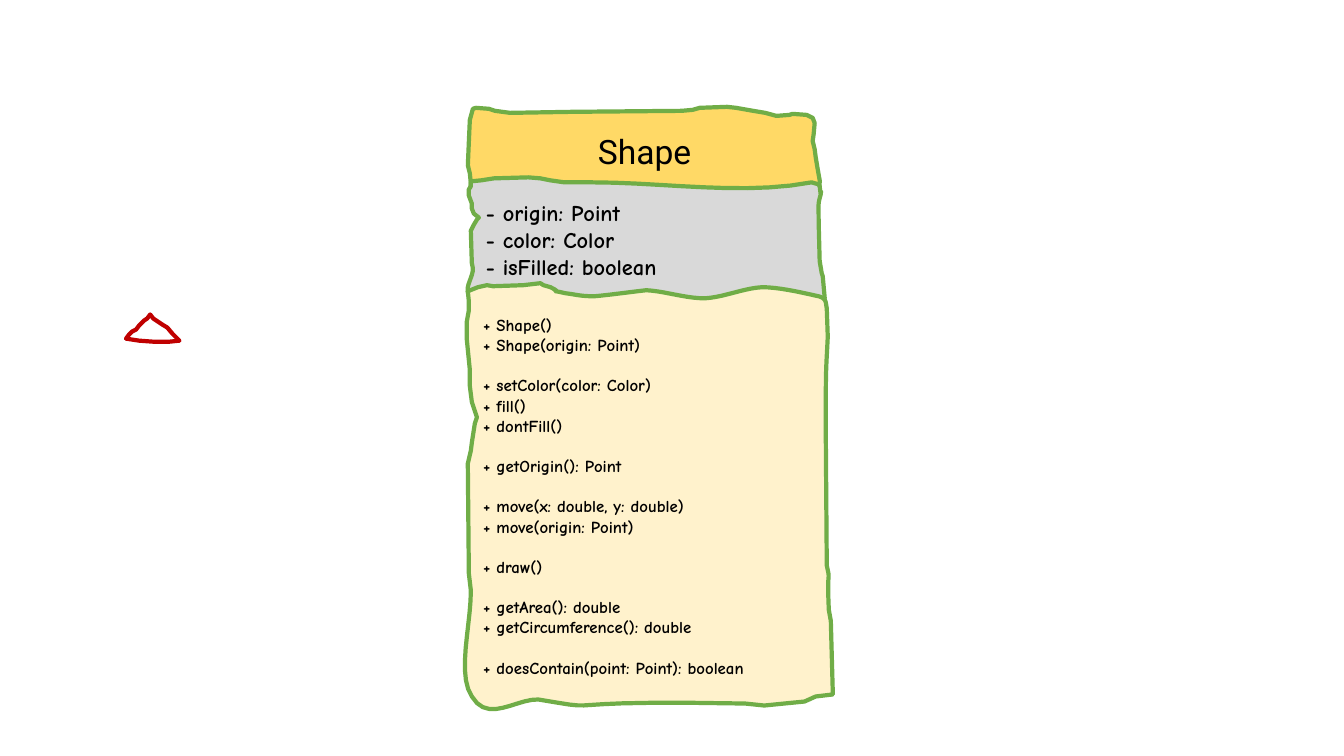
from dataclasses import dataclass

from pptx import Presentation
from pptx.dml.color import RGBColor
from pptx.enum.text import MSO_ANCHOR, PP_ALIGN
from pptx.util import Inches, Pt

MIDDLE = MSO_ANCHOR.MIDDLE
LEFT, CENTER = PP_ALIGN.LEFT, PP_ALIGN.CENTER


@dataclass(frozen=True)
class Theme:
    name_fill: str = "FFD966"
    fields_fill: str = "D9D9D9"
    methods_fill: str = "FFF2CC"
    border: str = "70AD47"
    accent: str = "C00000"
    text: str = "000000"
    name_font: str = "Roboto"
    body_font: str = "Comic Neue"
    name_size: int = 24
    fields_size: int = 16
    methods_size: int = 12
    group_gap: float = 14.4
    line_width: int = 3


def trace(outline, steps=10):
    """Turn points (x, y) and cubic curves (x1, y1, x2, y2, x, y) into points."""
    points = []
    for item in outline:
        if len(item) == 2:
            points.append(item)
            continue
        controls = [points[-1], item[:2], item[2:4], item[4:]]
        for i in range(1, steps + 1):
            t = i / steps
            weights = ((1 - t) ** 3, 3 * t * (1 - t) ** 2, 3 * t * t * (1 - t), t ** 3)
            points.append(tuple(sum(w * c[axis] for w, c in zip(weights, controls))
                                for axis in (0, 1)))
    return points


class Sketch:
    def __init__(self, slide, theme):
        self.slide = slide
        self.theme = theme

    def outline(self, outline, line, fill=None):
        points = [(Inches(x), Inches(y)) for x, y in trace(outline)]
        builder = self.slide.shapes.build_freeform(*points[0])
        builder.add_line_segments(points[1:], close=True)
        sp = builder.convert_to_shape()
        sp.shadow.inherit = False
        if fill:
            sp.fill.solid()
            sp.fill.fore_color.rgb = RGBColor.from_string(fill)
        else:
            sp.fill.background()
        sp.line.color.rgb = RGBColor.from_string(line)
        sp.line.width = Pt(self.theme.line_width)
        return sp

    def text(self, sp, groups, font, size, align=LEFT, bold=False, indent=0.0):
        tf = sp.text_frame
        tf.word_wrap = True
        tf.vertical_anchor = MIDDLE
        tf.margin_left = Inches(0.1 + indent)
        tf.text = "\n".join(line for group in groups for line in group)
        paragraphs = iter(tf.paragraphs)
        for g, group in enumerate(groups):
            for i in range(len(group)):
                p = next(paragraphs)
                p.alignment = align
                if g and i == 0:
                    p.space_before = Pt(self.theme.group_gap)
                for r in p.runs:
                    r.font.name = font
                    r.font.size = Pt(size)
                    r.font.bold = bold
                    r.font.color.rgb = RGBColor.from_string(self.theme.text)


# Hand-drawn outlines, in inches
NAME_BOX = [
    (4.66, 1.91), (4.67, 1.82), (4.66, 1.72), (4.64, 1.64), (4.65, 1.41), (4.66, 1.19),
    (4.69, 1.08), (4.72, 1.07), (4.85, 1.08), (4.91, 1.1), (5.06, 1.12), (5.67, 1.11),
    (6.76, 1.1), (6.87, 1.09), (6.94, 1.07), (7.21, 1.06), (7.3, 1.07), (7.47, 1.1),
    (7.59, 1.12), (7.7, 1.15), (7.83, 1.14), (7.86, 1.13), (8, 1.14), (8.06, 1.17),
    (8.08, 1.22), (8.07, 1.33), (8.06, 1.4), (8.08, 1.48), (8.09, 1.56), (8.11, 1.68),
    (8.13, 1.79), (8.12, 1.98, 8.17, 1.86, 8.13, 1.93),
    (7.55, 1.95, 5.24, 1.95, 4.66, 1.91),
]
FIELDS_BOX = [
    (4.65, 1.88), (4.65, 1.94), (4.68, 2.02), (4.68, 2.07), (4.7, 2.12), (4.75, 2.16),
    (4.73, 2.18), (4.7, 2.23), (4.67, 2.29), (4.68, 2.61), (4.69, 2.66),
    (4.7, 2.76, 4.56, 2.9, 4.7, 2.96), (5.34, 2.97), (7.52, 2.99), (8.02, 2.96),
    (8.18, 2.96), (8.16, 2.74), (8.15, 2.71), (8.13, 2.59), (8.12, 2.21),
    (8.12, 2.01, 8.11, 2.04, 8.14, 1.93), (8.13, 1.85), (8.12, 1.83), (8.05, 1.81),
    (7.36, 1.94, 6.6, 1.81, 5.88, 1.81), (5.6, 1.81), (5.46, 1.79), (5.36, 1.77),
    (5.24, 1.76), (4.9, 1.77), (4.77, 1.79), (4.67, 1.8), (4.67, 1.85),
]
METHODS_BOX = [
    (4.63, 3.19), (4.63, 3.37), (4.66, 3.67), (4.66, 3.83), (4.68, 3.99), (4.73, 4.14),
    (4.71, 4.2), (4.68, 4.39), (4.67, 4.47), (4.64, 4.6), (4.65, 5.69), (4.67, 5.86),
    (4.67, 6.21, 4.53, 6.69, 4.68, 6.91), (4.84, 7.18, 5.12, 6.93, 5.34, 6.94),
    (6.11, 7.07, 5.3, 6.94, 7.39, 6.98), (7.58, 7), (7.98, 6.96), (8.09, 6.91),
    (8.26, 6.89), (8.24, 6.16), (8.22, 6.05), (8.2, 5.6, 8.24, 5.8, 8.2, 5.61),
    (8.19, 4.3), (8.19, 3.63, 8.19, 3.73, 8.21, 3.34), (8.2, 3.06), (8.19, 3),
    (8.18, 2.96, 8.15, 2.95, 8.12, 2.94), (8.02, 2.92, 7.75, 2.85, 7.56, 2.85),
    (7.37, 2.86, 7.18, 2.95, 6.99, 2.96), (6.79, 2.96, 6.6, 2.89, 6.41, 2.88),
    (6.23, 2.9, 6.02, 2.93, 5.89, 2.94), (5.75, 2.94, 5.7, 2.92, 5.61, 2.91),
    (5.39, 2.86, 5.62, 2.93, 5.46, 2.85), (5.39, 2.83), (5.36, 2.81), (5.19, 2.83),
    (4.89, 2.84), (4.83, 2.83), (4.74, 2.85), (4.64, 2.89), (4.65, 2.99), (4.65, 3.08),
]
TRIANGLE = [
    (1.49, 3.12), (1.46, 3.16), (1.43, 3.18), (1.38, 3.23), (1.35, 3.27), (1.31, 3.29),
    (1.28, 3.32), (1.25, 3.36), (1.38, 3.38), (1.52, 3.39), (1.68, 3.39), (1.78, 3.38),
    (1.74, 3.34), (1.71, 3.31), (1.66, 3.25), (1.61, 3.22), (1.58, 3.2), (1.55, 3.18),
    (1.52, 3.16),
]

# Class members, methods grouped by purpose
FIELDS = [["- origin: Point", "- color: Color", "- isFilled: boolean"]]
METHODS = [
    ["+ Shape()", "+ Shape(origin: Point)"],
    ["+ setColor(color: Color)", "+ fill()", "+ dontFill()"],
    ["+ getOrigin(): Point"],
    ["+ move(x: double, y: double)", "+ move(origin: Point)"],
    ["+ draw()"],
    ["+ getArea(): double", "+ getCircumference(): double"],
    ["+ doesContain(point: Point): boolean"],
]

prs = Presentation()
prs.slide_width, prs.slide_height = Inches(13.33), Inches(7.5)
theme = Theme()
sketch = Sketch(prs.slides.add_slide(prs.slide_layouts[6]), theme)

# Class name
name_box = sketch.outline(NAME_BOX, theme.border, theme.name_fill)
sketch.text(name_box, [["Shape"]], theme.name_font, theme.name_size, align=CENTER)

# Fields and methods
for outline, fill, groups, size in (
    (FIELDS_BOX, theme.fields_fill, FIELDS, theme.fields_size),
    (METHODS_BOX, theme.methods_fill, METHODS, theme.methods_size),
):
    box = sketch.outline(outline, theme.border, fill)
    sketch.text(box, groups, theme.body_font, size, bold=True, indent=0.08)

# Inheritance arrowhead
sketch.outline(TRIANGLE, theme.accent)

prs.save("out.pptx")
